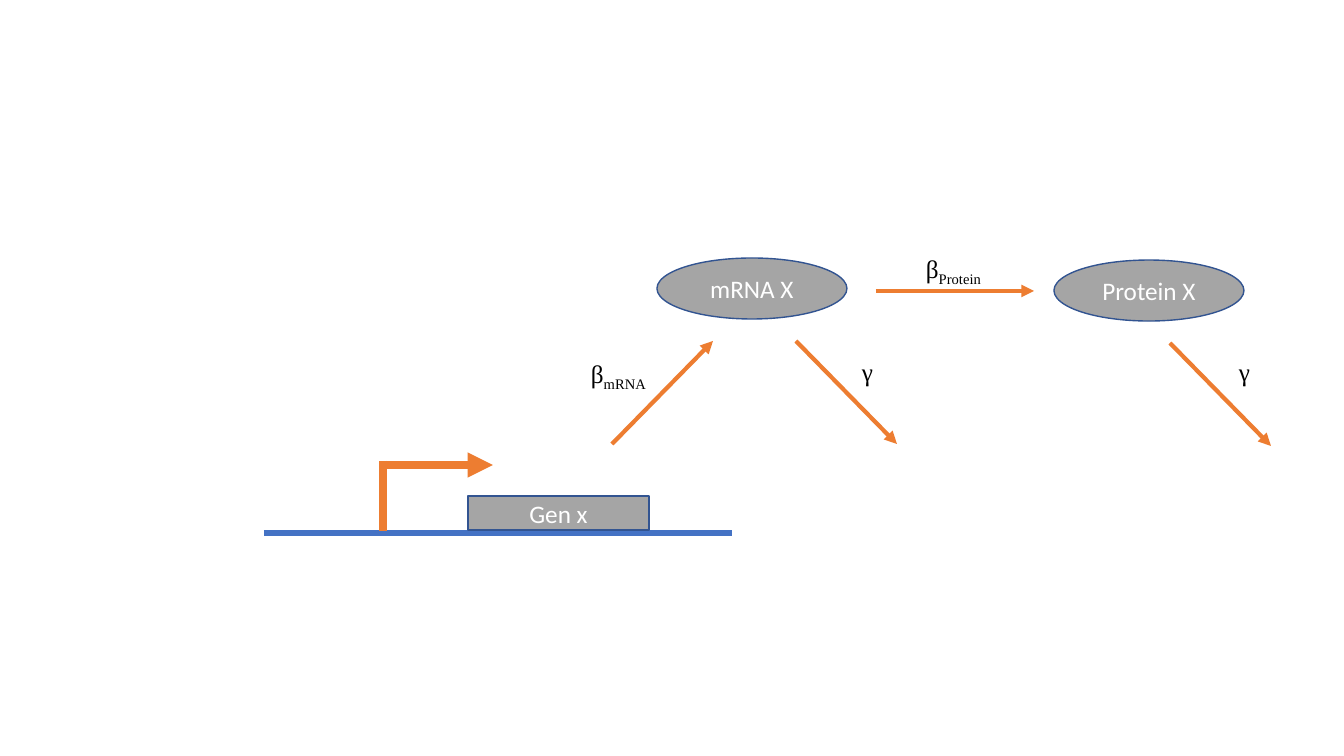
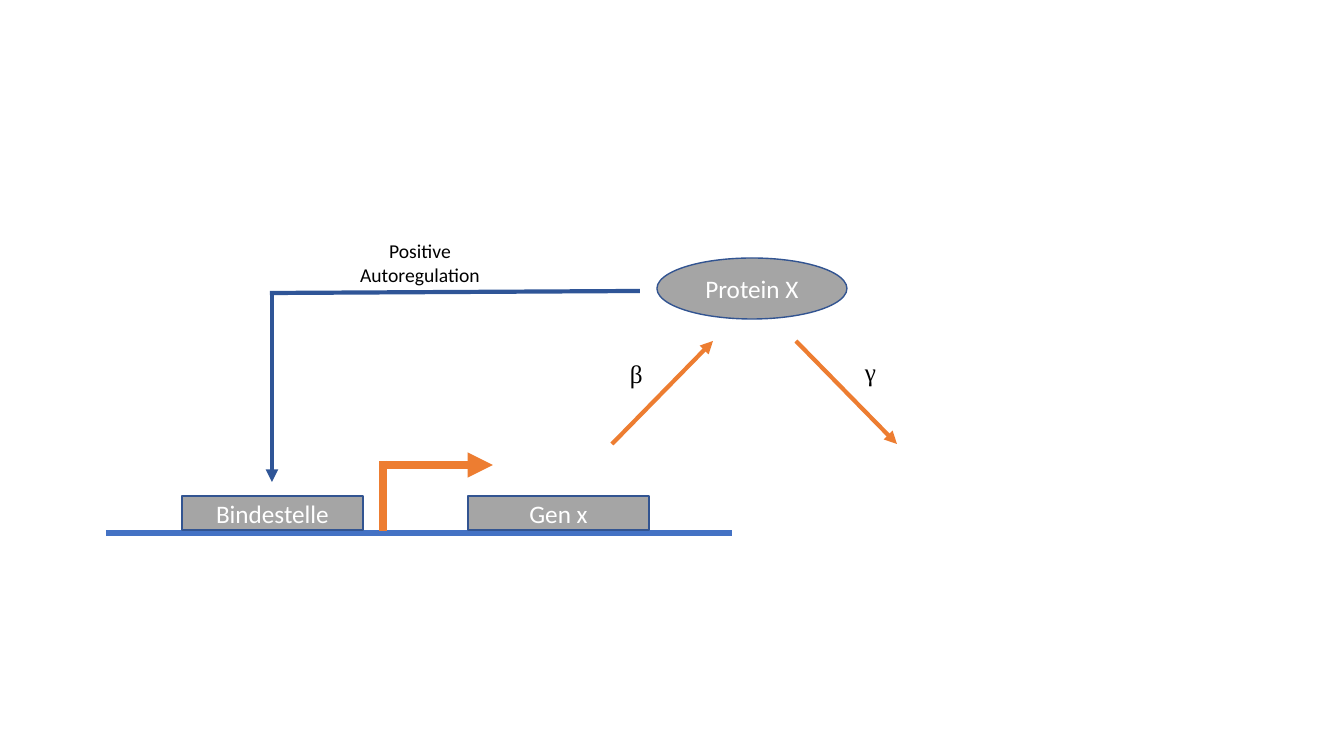
"""Build two slides on gene expression: simple regulation and positive autoregulation."""
from dataclasses import dataclass

from lxml import etree
from pptx import Presentation
from pptx.dml.color import RGBColor
from pptx.enum import shapes, text
from pptx.oxml import ns
from pptx.slide import Slide
from pptx.text.text import TextFrame
from pptx import util as u

SCALE = 914400 / 100.8
PAGE_WIDTH, PAGE_HEIGHT = 1344, 756
BLANK_LAYOUT = 6


@dataclass(frozen=True)
class Theme:
    strand: str = "4472C4"
    process: str = "ED7D31"
    feedback: str = "2F5597"
    node: str = "A5A5A5"
    outline: str = "325491"
    light: str = "FFFFFF"
    dark: str = "000000"
    sans: str = "Calibri"
    serif: str = "Times New Roman"
    body_size: float = 18
    note_size: float = 14
    outline_width: float = 1
    arrow_width: float = 3
    strand_width: float = 4.5
    promoter_width: float = 6


THEME = Theme()


@dataclass(frozen=True)
class Node:
    caption: str
    left: int
    top: int
    width: int
    height: int
    preset: shapes.MSO_SHAPE


@dataclass(frozen=True)
class Line:
    start: tuple[int, int]
    end: tuple[int, int]
    color: str = THEME.process
    width: float = THEME.arrow_width
    arrow: bool = True


@dataclass(frozen=True)
class Label:
    caption: str
    left: int
    top: int
    width: int = 42
    height: int = 40
    subscript: str = ""
    font: str = THEME.serif
    size: float = THEME.body_size
    centred: bool = False


def px(length: float) -> u.Emu:
    return u.Emu(round(length * SCALE))


def write(frame: TextFrame, caption: str, *, font: str, size: float, color: str,
          centred: bool = False, subscript: str = "") -> None:
    for index, words in enumerate(caption.split("\n")):
        para = frame.paragraphs[0] if index == 0 else frame.add_paragraph()
        para.alignment = text.PP_ALIGN.CENTER if centred else text.PP_ALIGN.LEFT
        for part in filter(None, (words, subscript)):
            span = para.add_run()
            span.text = part
            span.font.name = font
            span.font.size = u.Pt(size)
            span.font.color.rgb = RGBColor.from_string(color)
    if subscript:
        span._r.get_or_add_rPr().set("baseline", "-25000")


def draw_node(page: Slide, node: Node) -> None:
    shape = page.shapes.add_shape(node.preset, px(node.left), px(node.top),
                                  px(node.width), px(node.height))
    shape.shadow.inherit = False
    shape.fill.solid()
    shape.fill.fore_color.rgb = RGBColor.from_string(THEME.node)
    shape.line.color.rgb = RGBColor.from_string(THEME.outline)
    shape.line.width = u.Pt(THEME.outline_width)
    shape.text_frame.vertical_anchor = text.MSO_ANCHOR.MIDDLE
    write(shape.text_frame, node.caption, font=THEME.sans, size=THEME.body_size,
          color=THEME.light, centred=True)


def draw_line(page: Slide, line: Line) -> None:
    connector = page.shapes.add_connector(shapes.MSO_CONNECTOR.STRAIGHT,
                                          *map(px, line.start + line.end))
    connector.line.color.rgb = RGBColor.from_string(line.color)
    connector.line.width = u.Pt(line.width)
    if line.arrow:
        etree.SubElement(connector.line._get_or_add_ln(), ns.qn("a:tailEnd"), type="triangle")
    etree.SubElement(connector._element.spPr, ns.qn("a:effectLst"))


def draw_label(page: Slide, label: Label) -> None:
    box = page.shapes.add_textbox(px(label.left), px(label.top),
                                  px(label.width), px(label.height))
    box.text_frame.word_wrap = True
    box.text_frame.auto_size = text.MSO_AUTO_SIZE.SHAPE_TO_FIT_TEXT
    write(box.text_frame, label.caption, font=label.font, size=label.size,
          color=THEME.dark, centred=label.centred, subscript=label.subscript)


def site(caption: str, left: int) -> Node:
    return Node(caption, left, 496, 181, 34, shapes.MSO_SHAPE.RECTANGLE)


def molecule(caption: str, left: int, top: int) -> Node:
    return Node(caption, left, top, 190, 61, shapes.MSO_SHAPE.FLOWCHART_CONNECTOR)


def decay(left: int, top: int) -> Line:
    return Line((left, top), (left + 101, top + 103))


def draw(page: Slide, *items: Node | Line | Label) -> None:
    painters = {Node: draw_node, Line: draw_line, Label: draw_label}
    for item in items:
        painters[type(item)](page, item)


def draw_gene(page: Slide, strand_left: int, product: str) -> None:
    draw(
        page,
        Line((strand_left, 533), (732, 533), THEME.strand, THEME.strand_width, arrow=False),
        Line((383, 461), (383, 531), width=THEME.promoter_width, arrow=False),
        Line((383, 465), (493, 465), width=THEME.promoter_width),
        site("Gen x", 468),
        Line((612, 444), (713, 341)),
        molecule(product, 657, 258),
        decay(796, 341),
    )


def draw_expression(page: Slide) -> None:
    draw_gene(page, 264, "mRNA X")
    draw(
        page,
        Label("β", 581, 353, width=85, subscript="mRNA"),
        Label("γ", 852, 351),
        Line((876, 291), (1034, 291)),
        molecule("Protein X", 1054, 260),
        decay(1170, 343),
        Label("β", 916, 248, width=93, subscript="Protein"),
        Label("γ", 1229, 351),
    )


def draw_autoregulation(page: Slide) -> None:
    draw_gene(page, 106, "Protein X")
    draw(
        page,
        Label("β", 620, 353),
        Label("γ", 855, 351),
        site("Bindestelle", 182),
        Line((272, 291), (272, 482), THEME.feedback),
        Line((640, 291), (270, 293), THEME.feedback, arrow=False),
        Label("Positive\nAutoregulation", 321, 234, width=198, height=57,
              font=THEME.sans, size=THEME.note_size, centred=True),
    )


def main() -> None:
    deck = Presentation()
    deck.slide_width, deck.slide_height = px(PAGE_WIDTH), px(PAGE_HEIGHT)
    for draw_page in (draw_expression, draw_autoregulation):
        draw_page(deck.slides.add_slide(deck.slide_layouts[BLANK_LAYOUT]))
    deck.save("out.pptx")


main()
